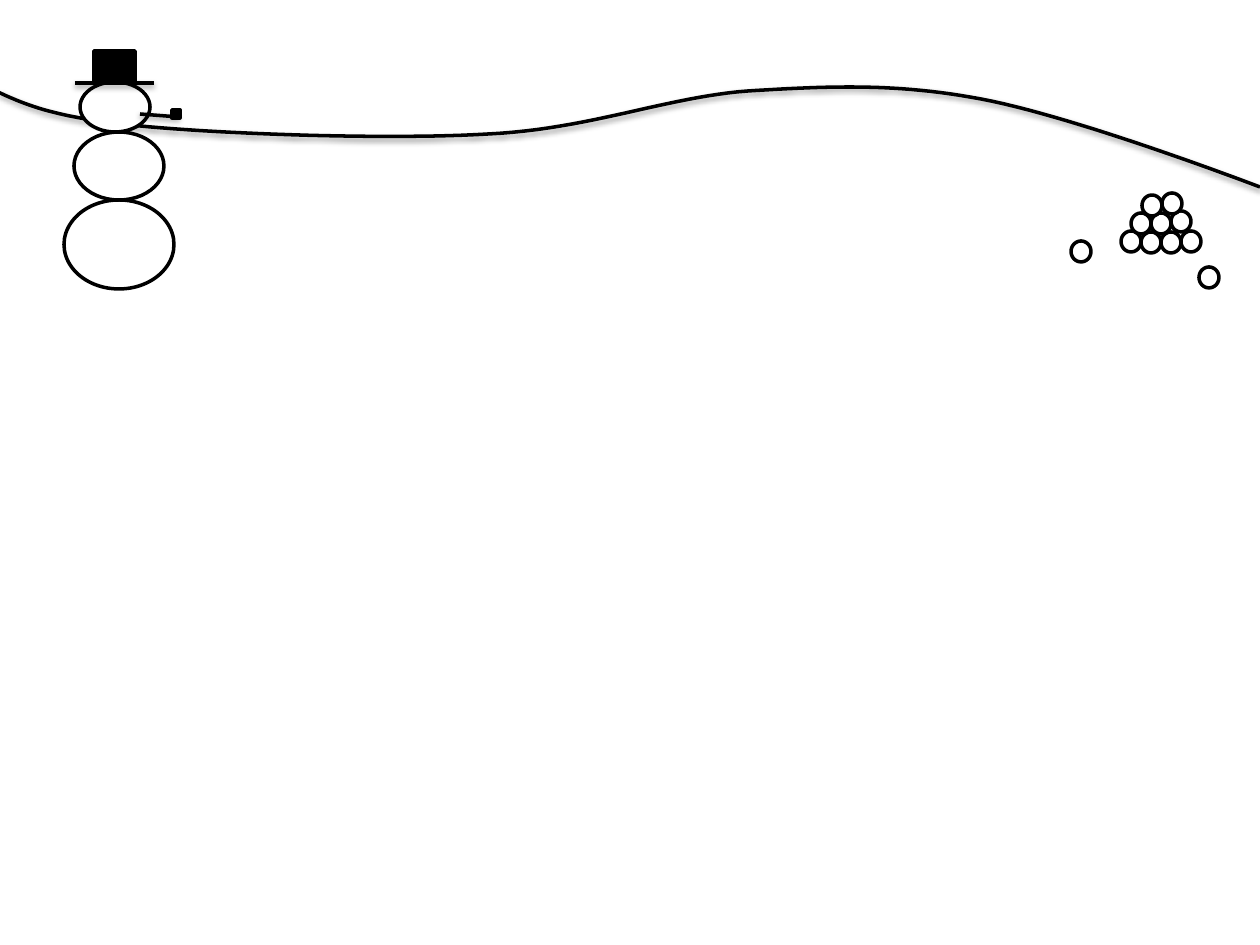
from lxml import etree
from pptx import Presentation
from pptx.dml.color import RGBColor
from pptx.enum import shapes as kinds
from pptx.oxml import parse_xml
from pptx.util import Pt

PX = 914400 / 126
NS = "http://schemas.openxmlformats.org/drawingml/2006/main"
SHADE = (f'<a:effectLst xmlns:a="{NS}"><a:outerShdw blurRad="40000" dist="20000" '
         'dir="5400000" rotWithShape="0"><a:srgbClr val="000000">'
         '<a:alpha val="38000"/></a:srgbClr></a:outerShdw></a:effectLst>')
OVAL = kinds.MSO_SHAPE.OVAL
RECT = kinds.MSO_SHAPE.RECTANGLE


def draw(group, kind, box, fill):
    """Add a filled preset shape with a black outline and no shadow."""
    item = group.add_shape(kind, *[round(v * PX) for v in box])
    item.shadow.inherit = False
    item.fill.solid()
    item.fill.fore_color.rgb = RGBColor.from_string(fill)
    item.line.color.rgb = RGBColor.from_string("000000")
    item.line.width = Pt(2)


def ink(item):
    """Give an open line a black stroke and a soft shadow."""
    item.line.color.rgb = RGBColor.from_string("000000")
    item.line.width = Pt(2)
    props = item._element.spPr
    for old in props.findall(f"{{{NS}}}effectLst"):
        props.remove(old)
    props.append(parse_xml(SHADE))


deck = Presentation()
deck.slide_width, deck.slide_height = round(1260 * PX), round(945 * PX)
slide = deck.slides.add_slide(deck.slide_layouts[6])
tree = slide.shapes

# Hill: a chain of cubic curves, sampled evenly
start = (-2, 92)
curves = [
    ((28, 106), (58, 118), (140, 126)),
    ((222, 134), (387, 140), (489, 134)),
    ((590, 129), (667, 97), (748, 91)),
    ((830, 86), (896, 83), (981, 99)),
    ((1066, 115), (1215, 170), (1260, 187)),
]
steps = 24
points = []
last = start
for curve in curves:
    knots = (last, *curve)
    for step in range(1, steps + 1):
        t = step / steps
        parts = ((1 - t) ** 3, 3 * t * (1 - t) ** 2, 3 * t * t * (1 - t), t ** 3)
        points.append([sum(w * k[axis] for w, k in zip(parts, knots)) * PX
                       for axis in (0, 1)])
    last = curve[-1]
path = tree.build_freeform(start[0] * PX, start[1] * PX)
path.add_line_segments(points, close=False)
hill = path.convert_to_shape()
hill.fill.background()
ink(hill)

# Snowman, from the base up
for ball in [(64, 200, 110, 89), (74, 132, 90, 68), (80, 82, 70, 50)]:
    draw(tree, OVAL, ball, "FFFFFF")

# Hat with its brim, then pipe with its bowl
for ends, block in [((75, 83, 154, 83), (94, 51, 41, 32)),
                    ((140, 114, 179, 117), (172, 110, 8, 8))]:
    group = tree.add_group_shape().shapes
    ink(group.add_connector(kinds.MSO_CONNECTOR.STRAIGHT,
                            *[round(v * PX) for v in ends]))
    draw(group, RECT, block, "000000")

# Pile of snowballs, row by row, and two loose ones
pile = tree.add_group_shape().shapes
rows = [(1121, (231, 232, 232, 231)), (1131, (213, 213, 211)), (1142, (195, 193)),
        (1071, (241,)), (1199, (267,))]
for left, tops in rows:
    for i, top in enumerate(tops):
        draw(pile, OVAL, (left + 20 * i, top, 20, 21), "FFFFFF")

deck.save("out.pptx")
